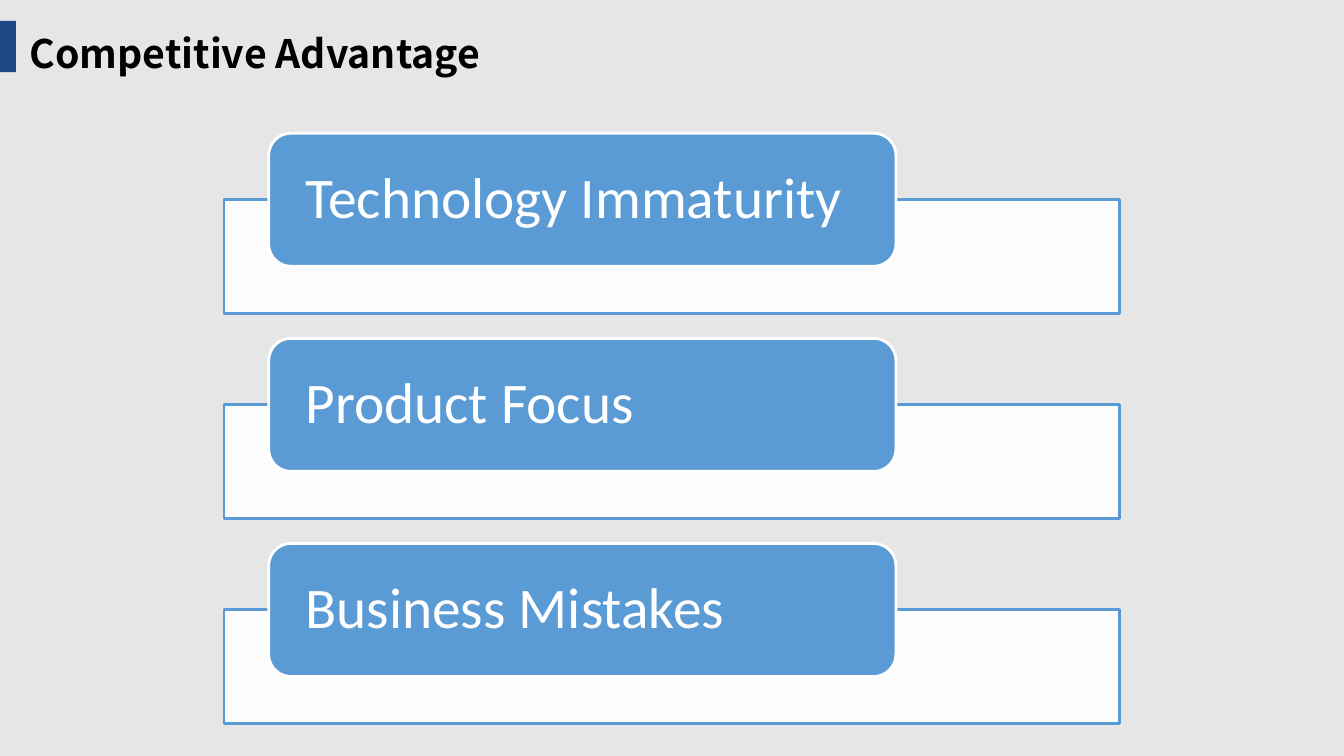
from dataclasses import dataclass

from lxml import etree
from pptx import Presentation
from pptx.dml.color import RGBColor
from pptx.enum.shapes import MSO_SHAPE
from pptx.enum.text import MSO_ANCHOR, MSO_AUTO_SIZE, PP_ALIGN
from pptx.oxml.ns import qn
from pptx.util import Pt

RECT, ROUNDED = MSO_SHAPE.RECTANGLE, MSO_SHAPE.ROUNDED_RECTANGLE
TOP, MIDDLE = MSO_ANCHOR.TOP, MSO_ANCHOR.MIDDLE
LEFT = PP_ALIGN.LEFT
NO_FIT = MSO_AUTO_SIZE.NONE


@dataclass(frozen=True)
class Theme:
    background: str = "E7E6E6"
    accent: str = "1C4885"
    blue: str = "5B9BD5"
    white: str = "FFFFFF"
    black: str = "000000"
    title_font: str = "Noto Sans CJK SC"
    label_font: str = "Calibri"
    title_size: int = 28
    label_size: int = 41


THEME = Theme()
ADVANTAGES = ["Technology Immaturity", "Product Focus", "Business Mistakes"]
FIRST_TOP, ROW_STEP = 95.2, 146.5
BAR_DROP = 47.4


def color(value):
    return RGBColor.from_string(value)


def add_block(s, kind, box, fill, line=None):
    sp = s.shapes.add_shape(kind, *map(Pt, box))
    sp.shadow.inherit = False
    sp.fill.solid()
    sp.fill.fore_color.rgb = color(fill)
    if line:
        sp.line.color.rgb = color(line)
        sp.line.width = Pt(2)
    else:
        sp.line.fill.background()
    return sp


def set_opacity(sp, percent):
    rgb = sp.fill._xPr.find(qn("a:solidFill")).find(qn("a:srgbClr"))
    etree.SubElement(rgb, qn("a:alpha")).set("val", str(percent * 1000))


def write_text(sp, text, font, size, fill, insets, anchor, bold=False):
    tf = sp.text_frame
    tf.word_wrap = True
    tf.auto_size = NO_FIT
    tf.vertical_anchor = anchor
    tf.margin_left, tf.margin_top, tf.margin_right, tf.margin_bottom = map(Pt, insets)
    p = tf.paragraphs[0]
    p.alignment = LEFT
    r = p.add_run()
    r.text = text
    r.font.name = font
    r.font.size = Pt(size)
    r.font.bold = bold
    r.font.color.rgb = color(fill)
    return p


def add_title(s, text):
    add_block(s, RECT, (0, 15, 11.4, 36.5), THEME.accent)
    sp = s.shapes.title
    sp.left, sp.top, sp.width, sp.height = map(Pt, (14, 17.3, 351.4, 41))
    write_text(sp, text, THEME.title_font, THEME.title_size, THEME.black,
               (7.2, 3.6, 7.2, 3.6), TOP, bold=True)


def add_advantage(s, text, top):
    # Translucent bar behind the label
    bar = add_block(s, RECT, (160, top + BAR_DROP, 640, 81.4), THEME.white, THEME.blue)
    set_opacity(bar, 90)
    # Rounded label
    label = add_block(s, ROUNDED, (192, top, 448, 95), THEME.blue, THEME.white)
    label.adjustments[0] = 0.167
    p = write_text(label, text, THEME.label_font, THEME.label_size, THEME.white,
                   (21.6, 4.6, 17, 4.6), MIDDLE)
    p.line_spacing = 0.9
    p.space_after = Pt(14.3)


def main():
    prs = Presentation()
    prs.slide_width, prs.slide_height = Pt(960), Pt(540)
    s = prs.slides.add_slide(prs.slide_layouts[5])
    s.background.fill.solid()
    s.background.fill.fore_color.rgb = color(THEME.background)

    add_title(s, "Competitive Advantage")
    for row, text in enumerate(ADVANTAGES):
        add_advantage(s, text, FIRST_TOP + row * ROW_STEP)
    prs.save("out.pptx")


if __name__ == "__main__":
    main()
